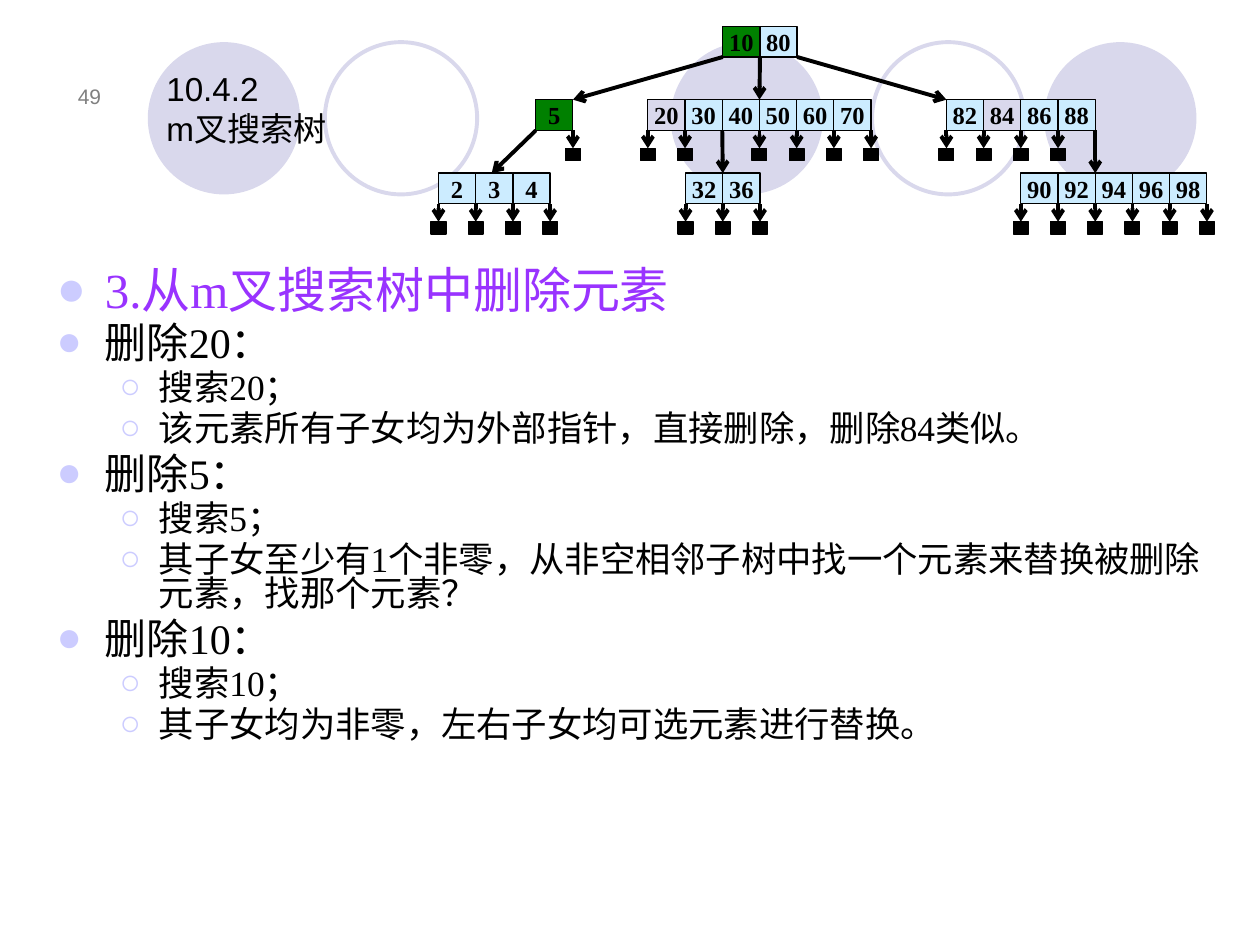
from dataclasses import dataclass, field

from lxml.etree import SubElement
from pptx import Presentation
from pptx.dml.color import RGBColor
from pptx.enum.shapes import MSO_CONNECTOR, MSO_SHAPE
from pptx.enum.text import MSO_ANCHOR, MSO_AUTO_SIZE, PP_ALIGN
from pptx.oxml.ns import qn
from pptx.util import Cm, Pt


@dataclass(frozen=True)
class Theme:
    black: str = "000000"
    grey: str = "808080"
    lilac: str = "D9D8EC"
    bullet: str = "CCCCFF"
    heading: str = "9933FF"
    key: str = "CCECFF"
    marked: str = "008000"
    sans: str = "Arial"
    serif: str = "Times New Roman"
    title_size: float = 19
    number_size: float = 12
    key_size: float = 14
    heading_size: float = 28
    item_size: float = 24
    detail_size: float = 20.2
    thin: float = 0.75
    thick: float = 2.25


# Tree grid in centimetres
CELL_W, CELL_H = 0.75, 0.62
ROOT_TOP, LEVEL_GAP = 0.53, 1.48
LEAF_W, LEAF_H, LEAF_DROP = 0.3, 0.25, 0.36


@dataclass
class Node:
    left: float
    level: int
    keys: list
    # Pointer position -> (child node, landing position in child cells)
    children: dict = field(default_factory=dict)

    @property
    def top(self):
        return ROOT_TOP + self.level * LEVEL_GAP

    @property
    def bottom(self):
        return self.top + CELL_H

    def x(self, position):
        return self.left + position * CELL_W


class SlideBuilder:
    def __init__(self, slide, theme):
        self.slide, self.theme = slide, theme

    def run(self, paragraph, text, size, font, color, bold=False):
        run = paragraph.add_run()
        run.text = text
        run.font.size, run.font.name, run.font.bold = Pt(size), font, bold
        run.font.color.rgb = RGBColor.from_string(color)

    def shape(self, kind, left, top, width, height, fill=None, line=None, weight=0.75):
        shape = self.slide.shapes.add_shape(kind, Cm(left), Cm(top), Cm(width), Cm(height))
        shape.shadow.inherit = False
        for paint, color in ((shape.fill, fill), (shape.line.fill, line)):
            if color:
                paint.solid()
                paint.fore_color.rgb = RGBColor.from_string(color)
            else:
                paint.background()
        if line:
            shape.line.width = Pt(weight)
        return shape

    def pointer(self, parent_x, parent_y, child_x, child_y):
        line = self.slide.shapes.add_connector(
            MSO_CONNECTOR.STRAIGHT, Cm(child_x), Cm(child_y), Cm(parent_x), Cm(parent_y))
        line.line.color.rgb = RGBColor.from_string(self.theme.black)
        line.line.width = Pt(self.theme.thick)
        SubElement(line.line._get_or_add_ln(), qn("a:headEnd"), type="arrow")
        SubElement(line._element.spPr, qn("a:effectLst"))

    def place(self, placeholder, left, top, width, height, anchor):
        """Moves a placeholder into position, in front of the backdrop."""
        placeholder.left, placeholder.top = Cm(left), Cm(top)
        placeholder.width, placeholder.height = Cm(width), Cm(height)
        element = placeholder._element
        element.getparent().append(element)
        frame = placeholder.text_frame
        frame.word_wrap, frame.auto_size = True, MSO_AUTO_SIZE.NONE
        frame.vertical_anchor = anchor
        return frame

    def title(self, first, second):
        t = self.theme
        frame = self.place(self.slide.shapes.title, 3.1, 0.53, 5.41, 2.59, MSO_ANCHOR.BOTTOM)
        paragraph = frame.paragraphs[0]
        paragraph.alignment = PP_ALIGN.LEFT
        self.run(paragraph, first, t.title_size, t.sans, t.black)
        paragraph.add_line_break()
        self.run(paragraph, second, t.title_size, t.sans, t.black)

    def page_number(self, number):
        t = self.theme
        frame = self.slide.shapes.add_textbox(Cm(0.89), Cm(1.12), Cm(1.4), Cm(1.19)).text_frame
        frame.word_wrap, frame.vertical_anchor = True, MSO_ANCHOR.BOTTOM
        frame.paragraphs[0].alignment = PP_ALIGN.RIGHT
        self.run(frame.paragraphs[0], number, t.number_size, t.sans, t.grey)

    def bullets(self, items):
        t = self.theme
        frame = self.place(self.slide.placeholders[1], 0.89, 5.33, 23.67, 13, MSO_ANCHOR.TOP)
        for index, (level, text) in enumerate(items):
            paragraph = frame.paragraphs[0] if index == 0 else frame.add_paragraph()
            size = t.detail_size if level else t.item_size
            color = t.black
            if index == 0:
                size, color = t.heading_size, t.heading
            paragraph.level, paragraph.line_spacing = level, 0.8
            paragraph.space_before = Pt(0.2 * size if index else 0)
            indent, hang, mark = ((2.06, 0.79, "○") if level else (0.97, 0.97, "●"))
            props = paragraph._p.get_or_add_pPr()
            props.set("marL", str(Cm(indent)))
            props.set("indent", str(-Cm(hang)))
            SubElement(SubElement(props, qn("a:buClr")), qn("a:srgbClr"), val=t.bullet)
            SubElement(props, qn("a:buFont"), typeface=t.sans)
            SubElement(props, qn("a:buChar"), char=mark)
            self.run(paragraph, text, size, t.serif, color)

    def key(self, text, left, top, fill):
        t = self.theme
        cell = self.shape(MSO_SHAPE.RECTANGLE, left, top, CELL_W, CELL_H, fill, t.black, t.thin)
        frame = cell.text_frame
        frame.word_wrap, frame.vertical_anchor = False, MSO_ANCHOR.MIDDLE
        frame.paragraphs[0].alignment = PP_ALIGN.CENTER
        self.run(frame.paragraphs[0], text, t.key_size, t.serif, t.black, bold=True)

    def tree(self, node, fills):
        t = self.theme
        for index, text in enumerate(node.keys):
            self.key(text, node.x(index), node.top, fills.get(text, t.key))
        for position in range(len(node.keys) + 1):
            x = node.x(position)
            if position in node.children:
                child, landing = node.children[position]
                self.tree(child, fills)
                self.pointer(x, node.bottom, child.x(landing), child.top)
            else:
                leaf_top = node.bottom + LEAF_DROP
                self.shape(MSO_SHAPE.RECTANGLE, x - LEAF_W / 2, leaf_top,
                           LEAF_W, LEAF_H, t.black, t.black, t.thin)
                self.pointer(x, node.bottom, x, leaf_top)


def main():
    theme = Theme()
    deck = Presentation()
    deck.slide_width, deck.slide_height = Cm(25.4), Cm(19.05)
    builder = SlideBuilder(deck.slides.add_slide(deck.slide_layouts[1]), theme)

    # Backdrop: discs and rings
    for left in (13.52, 21.05, 2.98):
        builder.shape(MSO_SHAPE.OVAL, left, 0.85, 3.07, 3.07, fill=theme.lilac)
    for left in (17.58, 6.55):
        builder.shape(MSO_SHAPE.OVAL, left, 0.85, 3.07, 3.07, line=theme.lilac, weight=theme.thick)

    # Page number, title and list
    builder.page_number("49")
    builder.title("10.4.2", "m叉搜索树")
    builder.bullets([
        (0, "3.从m叉搜索树中删除元素"),
        (0, "删除20："),
        (1, "搜索20；"),
        (1, "该元素所有子女均为外部指针，直接删除，删除84类似。"),
        (0, "删除5："),
        (1, "搜索5；"),
        (1, "其子女至少有1个非零，从非空相邻子树中找一个元素来替换被删除元素，找那个元素？"),
        (0, "删除10："),
        (1, "搜索10；"),
        (1, "其子女均为非零，左右子女均可选元素进行替换。"),
    ])

    # Search tree
    low = Node(8.84, 2, ["2", "3", "4"])
    thirties = Node(13.82, 2, ["32", "36"])
    nineties = Node(20.58, 2, ["90", "92", "94", "96", "98"])
    five = Node(10.8, 1, ["5"], {0: (low, 1.43)})
    middle = Node(13.06, 1, ["20", "30", "40", "50", "60", "70"], {2: (thirties, 1)})
    eighties = Node(19.08, 1, ["82", "84", "86", "88"], {4: (nineties, 2)})
    root = Node(14.57, 0, ["10", "80"], {0: (five, 1), 1: (middle, 3), 2: (eighties, 0)})
    builder.tree(root, {"10": theme.marked, "5": theme.marked,
                        "20": theme.lilac, "84": theme.lilac})

    deck.save("out.pptx")


if __name__ == "__main__":
    main()
